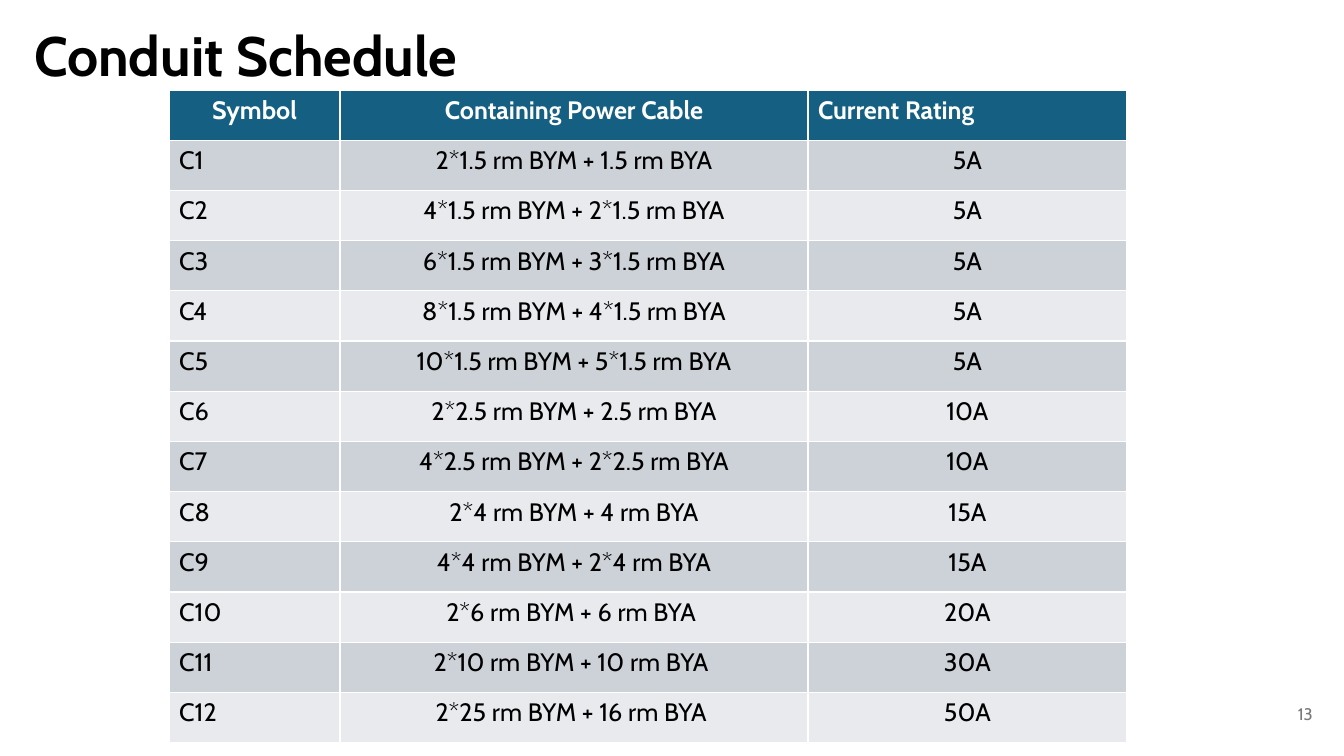
"""Build the conduit schedule slide."""
from typing import NamedTuple

from pptx import Presentation
from pptx.dml.color import RGBColor
from pptx.enum.text import MSO_ANCHOR, MSO_AUTO_SIZE, PP_ALIGN
from pptx.util import Emu, Pt

LEFT, CENTER, RIGHT = PP_ALIGN.LEFT, PP_ALIGN.CENTER, PP_ALIGN.RIGHT
TOP, MIDDLE = MSO_ANCHOR.TOP, MSO_ANCHOR.MIDDLE
NO_FIT = MSO_AUTO_SIZE.NONE

EMU_PER_PX = 914400 / 100.8
FONT = "Cabin"
BLACK = RGBColor(0x00, 0x00, 0x00)
WHITE = RGBColor(0xFF, 0xFF, 0xFF)
GRAY = RGBColor(0x79, 0x79, 0x79)
HEADER = RGBColor(0x15, 0x60, 0x82)
BANDS = (RGBColor(0xCC, 0xD2, 0xD8), RGBColor(0xE8, 0xEA, 0xED))


class Column(NamedTuple):
    heading: str
    width: int
    heading_align: PP_ALIGN
    align: PP_ALIGN


class Conduit(NamedTuple):
    symbol: str
    cable: str
    rating: str


COLUMNS = (
    Column("Symbol", 171, CENTER, LEFT),
    Column("Containing Power Cable", 468, CENTER, CENTER),
    Column("Current Rating", 319, LEFT, CENTER),
)
CONDUITS = (
    Conduit("C1", "2*1.5 rm BYM + 1.5 rm BYA", "5A"),
    Conduit("C2", "4*1.5 rm BYM + 2*1.5 rm BYA", "5A"),
    Conduit("C3", "6*1.5 rm BYM + 3*1.5 rm BYA", "5A"),
    Conduit("C4", "8*1.5 rm BYM + 4*1.5 rm BYA", "5A"),
    Conduit("C5", "10*1.5 rm BYM + 5*1.5 rm BYA", "5A"),
    Conduit("C6", "2*2.5 rm BYM + 2.5 rm BYA", "10A"),
    Conduit("C7", "4*2.5 rm BYM + 2*2.5 rm BYA", "10A"),
    Conduit("C8", "2*4 rm BYM + 4 rm BYA", "15A"),
    Conduit("C9", "4*4 rm BYM + 2*4 rm BYA", "15A"),
    Conduit("C10", "2*6 rm BYM + 6 rm BYA ", "20A"),
    Conduit("C11", "2*10 rm BYM + 10 rm BYA ", "30A"),
    Conduit("C12", "2*25 rm BYM + 16 rm BYA ", "50A"),
)


def px(n: int) -> Emu:
    return Emu(round(n * EMU_PER_PX))


def write(tf, text: str, size: float, color: RGBColor, align: PP_ALIGN, bold: bool = False):
    tf.text = text
    p = tf.paragraphs[0]
    p.alignment = align
    p.font.name = FONT
    p.font.size = Pt(size)
    p.font.bold = bold
    p.font.color.rgb = color
    return p


def set_frame(tf, anchor: MSO_ANCHOR) -> None:
    tf.word_wrap = True
    tf.auto_size = NO_FIT
    tf.vertical_anchor = anchor
    tf.margin_left = tf.margin_right = tf.margin_top = tf.margin_bottom = px(13)


def add_title(s) -> None:
    sp = s.shapes.title
    sp.left, sp.top, sp.width, sp.height = px(21), px(16), px(1252), px(85)
    set_frame(sp.text_frame, TOP)
    p = write(sp.text_frame, "Conduit Schedule", 39.6, BLACK, LEFT, True)
    p.line_spacing = 0.9


def add_page_number(s) -> None:
    sp = s.shapes.add_textbox(px(1245), px(685), px(81), px(57))
    set_frame(sp.text_frame, MIDDLE)
    write(sp.text_frame, "13", 12, GRAY, RIGHT)


def fill_cell(cell, text: str, fill: RGBColor, color: RGBColor, align: PP_ALIGN, bold: bool) -> None:
    cell.fill.solid()
    cell.fill.fore_color.rgb = fill
    write(cell.text_frame, text, 18, color, align, bold)


def add_schedule(s) -> None:
    width = sum(c.width for c in COLUMNS)
    table = s.shapes.add_table(
        len(CONDUITS) + 1, len(COLUMNS), px(169), px(90), px(width), px(653)
    ).table
    for j, column in enumerate(COLUMNS):
        table.columns[j].width = px(column.width)
        fill_cell(table.cell(0, j), column.heading, HEADER, WHITE, column.heading_align, True)
        for i, conduit in enumerate(CONDUITS):
            fill_cell(table.cell(i + 1, j), conduit[j], BANDS[i % 2], BLACK, column.align, False)


def main() -> None:
    prs = Presentation()
    prs.slide_width, prs.slide_height = px(1344), px(756)
    s = prs.slides.add_slide(prs.slide_layouts[5])
    add_title(s)
    add_page_number(s)
    add_schedule(s)
    prs.save("out.pptx")


if __name__ == "__main__":
    main()
